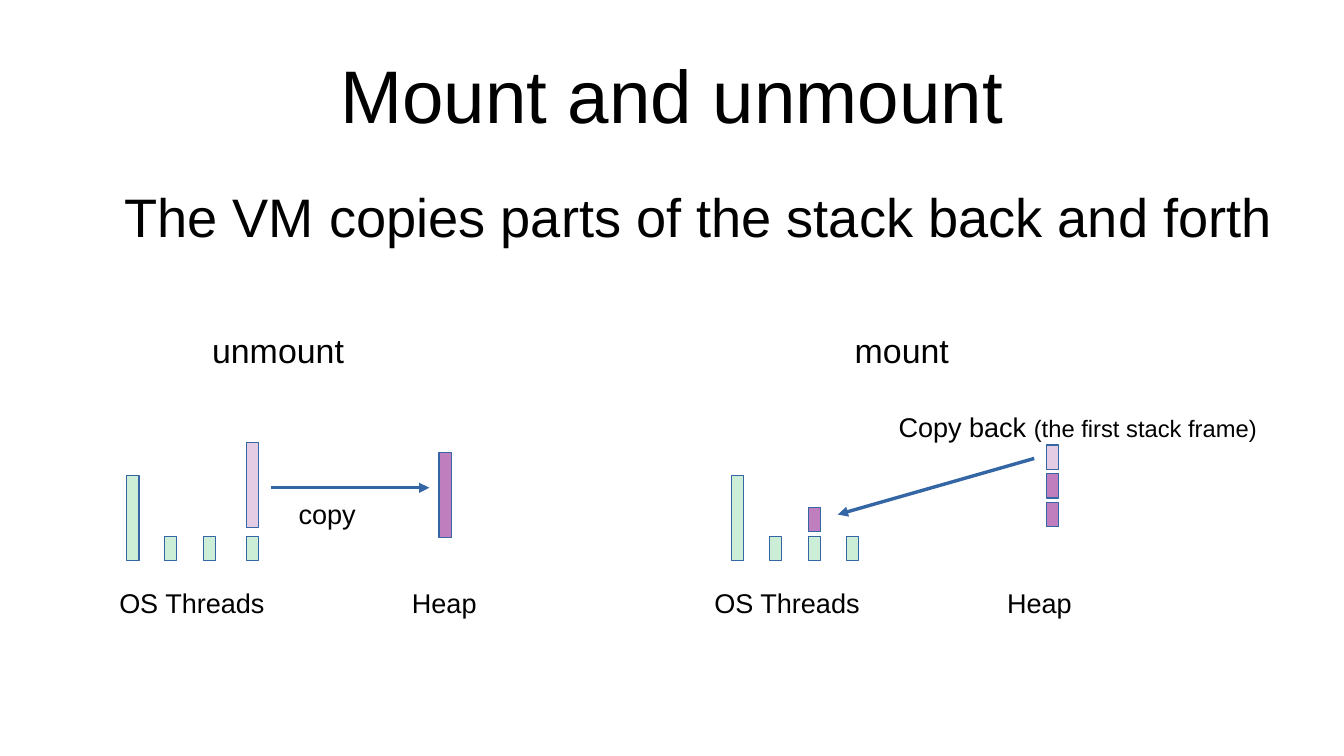
from lxml.etree import SubElement as sub
from pptx import Presentation
from pptx.dml.color import RGBColor
from pptx.enum.shapes import MSO_CONNECTOR as CONN, MSO_SHAPE as SHAPE
from pptx.enum.text import MSO_ANCHOR as ANCHOR, PP_ALIGN as ALIGN
from pptx.oxml.ns import qn
from pptx.util import Inches, Pt

BLACK = RGBColor(0x00, 0x00, 0x00)
BLUE = RGBColor(0x34, 0x65, 0xA4)
GREEN = RGBColor(0x00, 0xA9, 0x33)
PURPLE = RGBColor(0x80, 0x00, 0x80)

FRAME = 0.2   # height of one stack frame
STACK = 0.7   # height of a full stack
BASE = 4.6    # bottom of the thread stacks


class Page:
    font = "Arial"
    bar_wide = 0.1

    def __init__(self, slide):
        self.shapes = slide.shapes

    def text(self, text, at, size=16, align=ALIGN.LEFT, anchor=ANCHOR.TOP,
             pad=(0.1, 0.05), wrap=False, small=None):
        frame = self.shapes.add_textbox(*map(Inches, at)).text_frame
        frame.word_wrap = wrap
        frame.vertical_anchor = anchor
        frame.margin_left = frame.margin_right = Inches(pad[0])
        frame.margin_top = frame.margin_bottom = Inches(pad[1])
        para = frame.paragraphs[0]
        para.alignment = align
        for part, points in ((text, size), (small, 14)):
            if part:
                run = para.add_run()
                run.text = part
                run.font.name = self.font
                run.font.size = Pt(points)
                run.font.color.rgb = BLACK

    def bar(self, left, top, high, color, alpha=20):
        box = self.shapes.add_shape(SHAPE.RECTANGLE, *map(
            Inches, (left, top, self.bar_wide, high)))
        box.shadow.inherit = False
        box.fill.solid()
        box.fill.fore_color.rgb = color
        tint = box.fill._xPr.find(qn("a:solidFill"))[0]
        sub(tint, qn("a:alpha"), val=str(alpha * 1000))
        box.line.color.rgb = BLUE
        box.line.width = Pt(0)

    def arrow(self, start, end):
        line = self.shapes.add_connector(CONN.STRAIGHT, *map(
            Inches, (*start, *end)))
        line.line.color.rgb = BLUE
        line.line.width = Pt(0)
        sub(line.line._get_or_add_ln(), qn("a:tailEnd"), type="triangle")
        sub(line._element.spPr, qn("a:effectLst"))

    def threads(self, lefts):
        for i, left in enumerate(lefts):
            high = FRAME if i else STACK
            self.bar(left, BASE - high, high, GREEN)


def main():
    deck = Presentation()
    deck.slide_width, deck.slide_height = Inches(11.02), Inches(6.2)
    page = Page(deck.slides.add_slide(deck.slide_layouts[6]))

    # Title and statement
    page.text("Mount and unmount", (0.55, 0.25, 9.92, 1.04), size=44,
              align=ALIGN.CENTER, anchor=ANCHOR.MIDDLE, pad=(0, 0), wrap=True)
    page.text("The VM copies parts of the stack back and forth",
              (1.02, 1.5, 9.45, 0.75), size=32, pad=(0, 0), wrap=True)

    # Headings and captions of both halves
    page.text("unmount", (1.64, 2.65, 1.28, 0.41), size=20)
    page.text("mount", (6.91, 2.65, 0.97, 0.41), size=20)
    for left in (0.88, 5.76):
        page.text("OS Threads", (left, 4.76, 1.4, 0.35), wrap=True)
        page.text("Heap", (left + 2.4, 4.76, 0.73, 0.35))

    # Unmount: the stack goes to the heap
    page.threads((1.04, 1.35, 1.67, 2.02))
    page.bar(2.02, 3.63, STACK, PURPLE)
    page.bar(3.6, 3.71, STACK, PURPLE, alpha=50)
    page.arrow((2.22, 4), (3.52, 4))
    page.text("copy", (2.35, 4.03, 0.67, 0.35))

    # Mount: the first frame comes back
    page.threads((6, 6.31, 6.63, 6.94))
    page.bar(6.63, 4.16, FRAME, PURPLE, alpha=50)
    for i, alpha in enumerate((20, 50, 50)):
        page.bar(8.58, 3.65 + i * 0.235, FRAME, PURPLE, alpha)
    page.arrow((8.48, 3.76), (6.87, 4.22))
    page.text("Copy back ", (7.27, 3.32, 3.6, 0.35), wrap=True,
              small="(the first stack frame)")

    deck.save("out.pptx")


if __name__ == "__main__":
    main()
